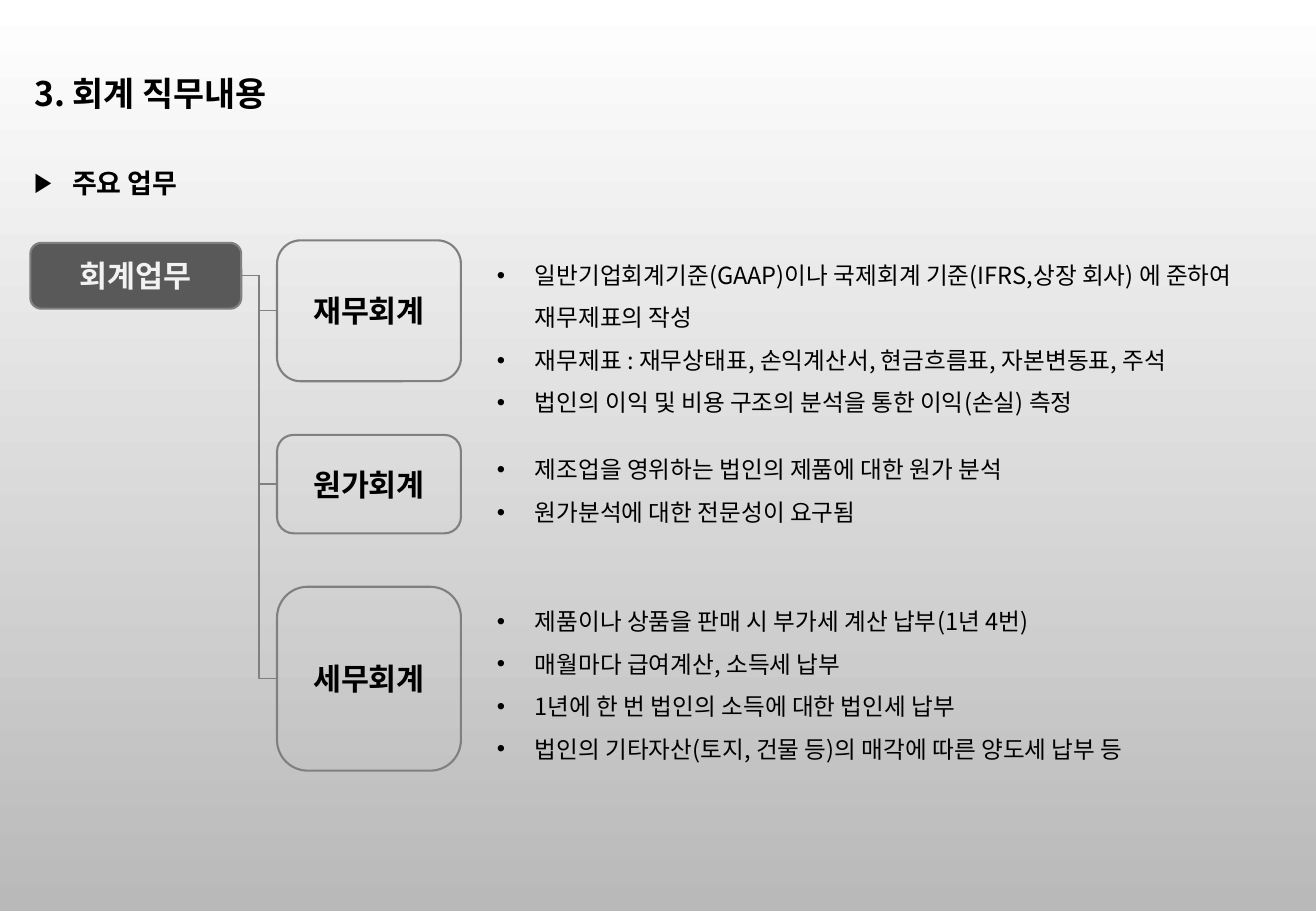
import pptx
import pptx.util
import pptx.dml.color
import pptx.enum.shapes
import pptx.enum.text
import pptx.oxml.ns
import lxml.etree

Pt = pptx.util.Pt
RGB = pptx.dml.color.RGBColor
ANCHOR = pptx.enum.text.MSO_ANCHOR
ALIGN = pptx.enum.text.PP_ALIGN
qn = pptx.oxml.ns.qn

FONT = "Noto Sans CJK KR"
BLACK = RGB(0x00, 0x00, 0x00)
WHITE = RGB(0xFF, 0xFF, 0xFF)
SILVER = RGB(0xB9, 0xB9, 0xB9)
GRAY = RGB(0x80, 0x80, 0x80)
DARK = RGB(0x59, 0x59, 0x59)
LIGHT = RGB(0xF2, 0xF2, 0xF2)


def write(sp, lines, size, color=BLACK, bold=False, align=ALIGN.LEFT,
          anchor=ANCHOR.TOP, spacing=1.0, before=0, bullet=None):
    """Fill a shape with one paragraph per line."""
    tf = sp.text_frame
    tf.word_wrap = True
    tf.auto_size = pptx.enum.text.MSO_AUTO_SIZE.NONE
    tf.vertical_anchor = anchor
    for i, line in enumerate(lines):
        p = tf.paragraphs[0] if i == 0 else tf.add_paragraph()
        p.alignment = align
        p.line_spacing = spacing
        p.space_before = Pt(before)
        p.space_after = Pt(0)
        if bullet:
            pPr = p._p.get_or_add_pPr()
            pPr.set("marL", str(Pt(22.5)))
            pPr.set("indent", str(-Pt(22.5)))
            lxml.etree.SubElement(pPr, qn("a:buChar")).set("char", bullet)
        r = p.add_run()
        r.text = line
        r.font.size = Pt(size)
        r.font.bold = bold
        r.font.name = FONT
        r.font.color.rgb = color
        ea = lxml.etree.SubElement(r._r.get_or_add_rPr(), qn("a:ea"))
        ea.set("typeface", FONT)


def place(sp, left, top, width, height):
    sp.left, sp.top, sp.width, sp.height = Pt(left), Pt(top), Pt(width), Pt(height)


prs = pptx.Presentation()
prs.slide_width, prs.slide_height = Pt(780), Pt(540)
s = prs.slides.add_slide(prs.slide_layouts.get_by_name("Comparison"))
title, subtitle, *lists = s.placeholders

# Background: white at the top to gray at the bottom
fill = s.background.fill
fill.gradient()
fill.gradient_angle = 270
for stop, color, position in zip(fill.gradient_stops, (WHITE, SILVER), (0, 1)):
    stop.color.rgb = color
    stop.position = position

# Headings
place(title, 13, 31.7, 739.5, 42.5)
write(title, ["3. 회계 직무내용"], 20, bold=True, anchor=ANCHOR.MIDDLE,
      spacing=1.2, before=10)
place(subtitle, 13, 95, 563, 26.6)
write(subtitle, ["주요 업무"], 16, bold=True, bullet="▶")

# Root and branch boxes: name, left, top, width, height, fill, text colour
boxes = []
for name, left, top, width, height, back, color in [
    ("회계업무", 18, 144, 125, 39, DARK, LIGHT),
    ("재무회계", 164.2, 142.5, 109, 83.5, None, BLACK),
    ("원가회계", 164.2, 257.8, 109, 58.3, None, BLACK),
    ("세무회계", 164.2, 347.8, 109, 109, None, BLACK),
]:
    sp = s.shapes.add_shape(pptx.enum.shapes.MSO_SHAPE.ROUNDED_RECTANGLE,
                            Pt(left), Pt(top), Pt(width), Pt(height))
    sp.shadow.inherit = False
    if back is None:
        sp.fill.background()
    else:
        sp.fill.solid()
        sp.fill.fore_color.rgb = back
    sp.line.color.rgb = GRAY
    sp.line.width = Pt(1.25)
    write(sp, [name], 18, color=color, bold=True, align=ALIGN.CENTER,
          anchor=ANCHOR.MIDDLE)
    boxes.append(sp)
root, *branches = boxes

# Duties beside each branch
duties = [
    ["일반기업회계기준(GAAP)이나 국제회계 기준(IFRS,상장 회사) 에 준하여 재무제표의 작성",
     "재무제표 : 재무상태표, 손익계산서, 현금흐름표, 자본변동표, 주석",
     "법인의 이익 및 비용 구조의 분석을 통한 이익(손실) 측정"],
    ["제조업을 영위하는 법인의 제품에 대한 원가 분석",
     "원가분석에 대한 전문성이 요구됨"],
    ["제품이나 상품을 판매 시 부가세 계산 납부(1년 4번)",
     "매월마다 급여계산, 소득세 납부",
     "1년에 한 번 법인의 소득에 대한 법인세 납부",
     "법인의 기타자산(토지, 건물 등)의 매각에 따른 양도세 납부 등"],
]
for sp, branch, lines, height in zip(lists, branches, duties, (106, 54, 109)):
    place(sp, 287.3, branch.top.pt, 473, height)
    write(sp, lines, 14, spacing=1.5, bullet="•")

# Elbow connectors from the root to each branch
for branch in branches:
    c = s.shapes.add_connector(pptx.enum.shapes.MSO_CONNECTOR.ELBOW, 0, 0, 0, 0)
    c.begin_connect(root, 3)
    c.end_connect(branch, 1)
    c.line.color.rgb = GRAY
    c.line.width = Pt(0.75)
    lxml.etree.SubElement(c._element.spPr, qn("a:effectLst"))

prs.save("out.pptx")
